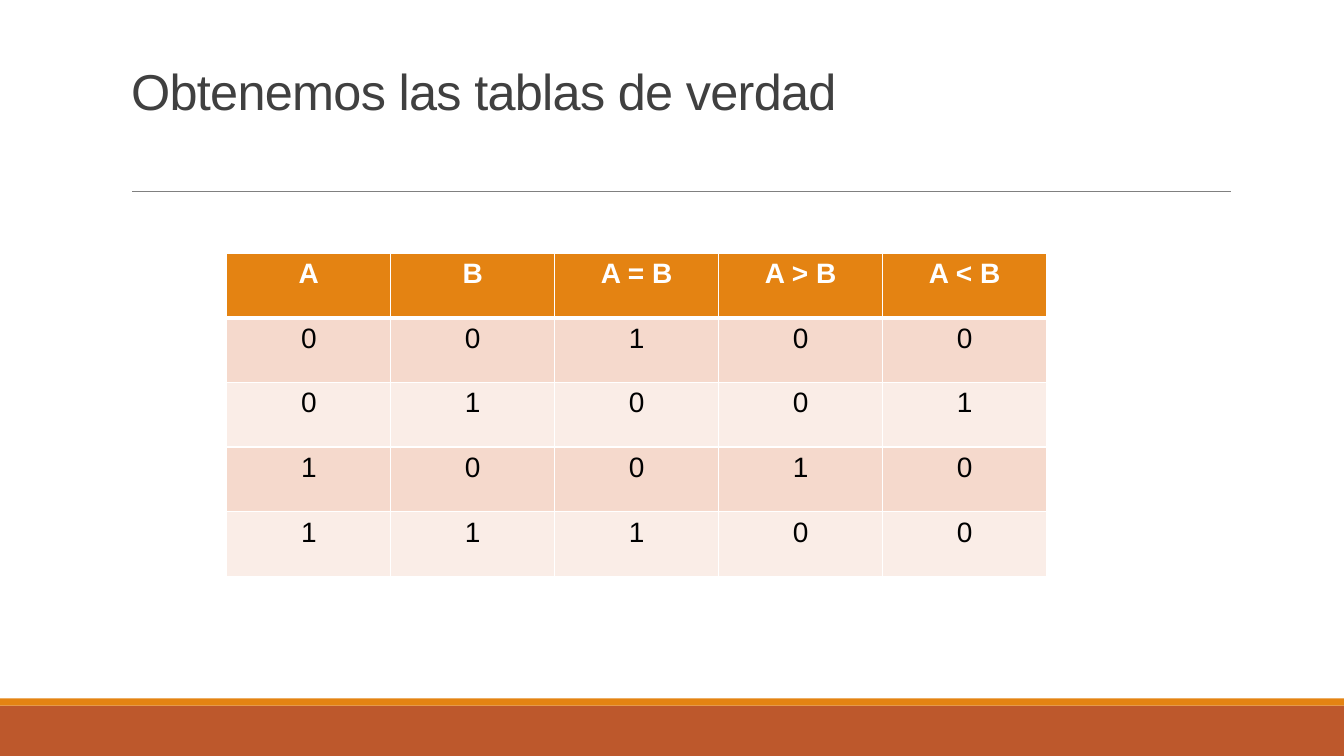
"""Build a slide with the truth table of a one-bit comparator."""
from dataclasses import dataclass

from lxml.etree import SubElement
from pptx import Presentation
from pptx.dml.color import RGBColor
from pptx.enum.shapes import MSO_CONNECTOR, MSO_SHAPE
from pptx.enum.text import MSO_ANCHOR, PP_ALIGN
from pptx.oxml.ns import qn
from pptx.util import Inches, Pt


@dataclass(frozen=True)
class Theme:
    font: str = "Arial"
    title_size: int = 36
    cell_size: int = 20
    title: str = "404040"
    rule: str = "808080"
    rust: str = "BD582C"
    orange: str = "E48312"
    bands: tuple = ("F5D9CC", "FAEDE7")
    white: str = "FFFFFF"
    black: str = "000000"


def style_run(r, size, color, bold=False):
    r.font.name = theme.font
    r.font.size = Pt(size)
    r.font.bold = bold
    r.font.color.rgb = RGBColor.from_string(color)


def add_border(cell, side, width):
    ln = SubElement(cell._tc.get_or_add_tcPr(), qn(f"a:{side}"), w=str(Pt(width)))
    fill = SubElement(ln, qn("a:solidFill"))
    SubElement(fill, qn("a:srgbClr"), val=theme.white)


theme = Theme()
prs = Presentation()
prs.slide_width, prs.slide_height = Inches(13.33), Inches(7.5)
s = prs.slides.add_slide(prs.slide_layouts[5])

for top, height, color in ((7, 0.5, theme.rust), (6.93, 0.07, theme.orange)):
    sp = s.shapes.add_shape(
        MSO_SHAPE.RECTANGLE, 0, Inches(top), prs.slide_width, Inches(height))
    sp.shadow.inherit = False
    sp.fill.solid()
    sp.fill.fore_color.rgb = RGBColor.from_string(color)
    sp.line.fill.background()

rule = s.shapes.add_connector(
    MSO_CONNECTOR.STRAIGHT, Inches(1.31), Inches(1.9), Inches(12.21), Inches(1.9))
rule.line.color.rgb = RGBColor.from_string(theme.rule)
rule.line.width = Pt(0.5)
SubElement(rule._element.spPr, qn("a:effectLst"))

title = s.shapes.title
title.left, title.top = Inches(1.2), Inches(0.31)
title.width, title.height = Inches(10.78), Inches(0.94)
tf = title.text_frame
tf.text = "Obtenemos las tablas de verdad"
tf.word_wrap = True
tf.vertical_anchor = MSO_ANCHOR.BOTTOM
p = tf.paragraphs[0]
p.alignment = PP_ALIGN.LEFT
p.line_spacing = 0.85
r = p.runs[0]
style_run(r, theme.title_size, theme.title)
r.font._element.set("spc", "-50")

header = ["A", "B", "A = B", "A > B", "A < B"]
inputs = [(a, b) for a in (0, 1) for b in (0, 1)]
rows = [header] + [[a, b, int(a == b), int(a > b), int(a < b)] for a, b in inputs]

table = s.shapes.add_table(
    len(rows), len(header), Inches(2.25), Inches(2.51), Inches(8.13), Inches(3.21)).table
for i, values in enumerate(rows):
    is_header = i == 0
    fill = theme.orange if is_header else theme.bands[(i - 1) % 2]
    color = theme.white if is_header else theme.black
    for j, value in enumerate(values):
        cell = table.cell(i, j)
        for side in ("lnL", "lnR", "lnT", "lnB"):
            heavy = (i, side) in ((0, "lnB"), (1, "lnT"))
            add_border(cell, side, 3 if heavy else 1)
        cell.fill.solid()
        cell.fill.fore_color.rgb = RGBColor.from_string(fill)
        cell.text_frame.text = str(value)
        p = cell.text_frame.paragraphs[0]
        p.alignment = PP_ALIGN.CENTER
        style_run(p.runs[0], theme.cell_size, color, is_header)

prs.save("out.pptx")
